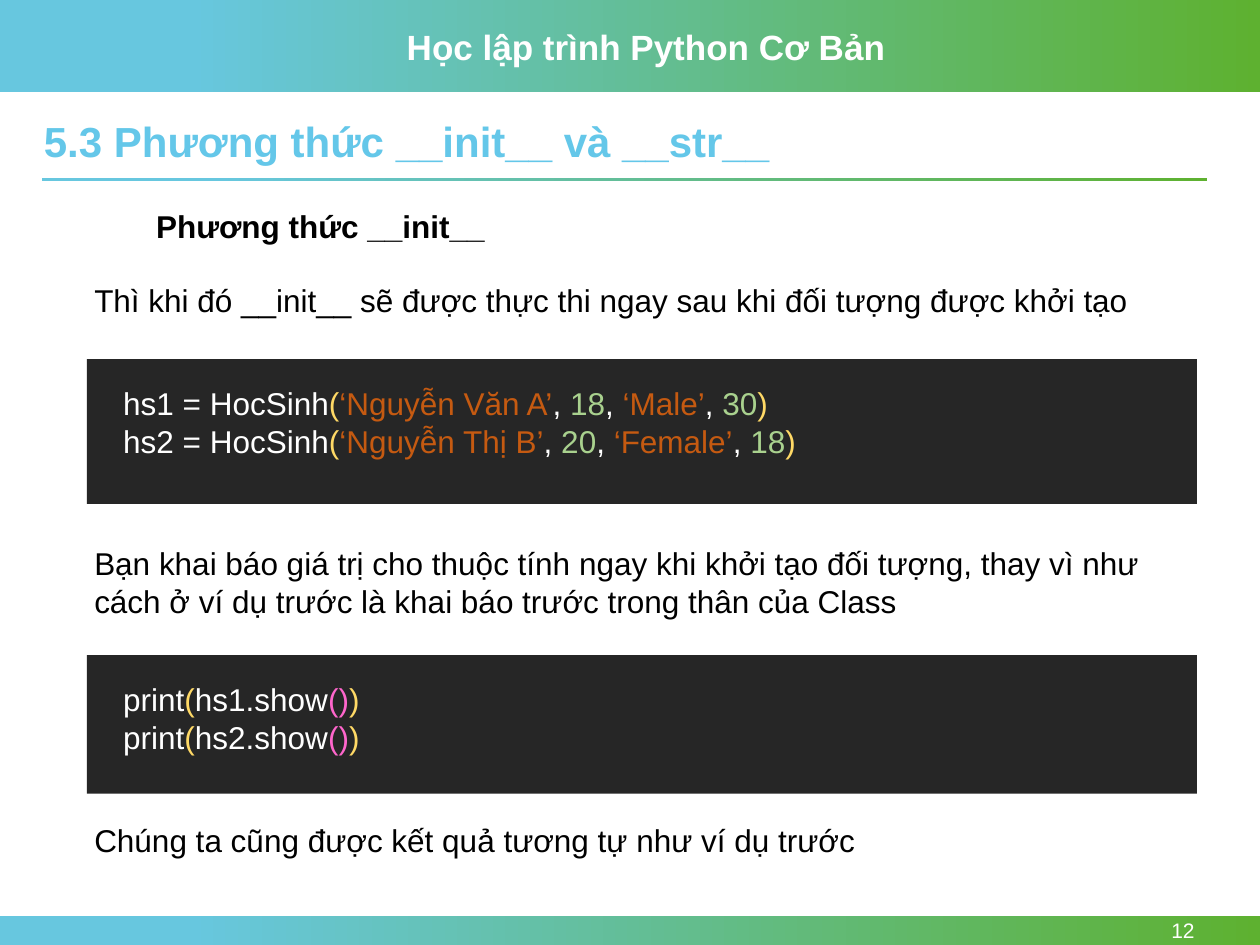
from pptx import Presentation
from pptx.dml.color import RGBColor
from pptx.enum.shapes import MSO_SHAPE
from pptx.enum.text import MSO_ANCHOR, MSO_AUTO_SIZE, PP_ALIGN
from pptx.util import Inches, Pt

COLORS = {
    "sky": "67C7DF",
    "green": "5EB130",
    "title": "64C7E9",
    "white": "FFFFFF",
    "black": "000000",
    "panel": "262626",
    "bracket": "FFD966",
    "string": "C55A11",
    "number": "A9D18E",
    "inner": "FF66CC",
}


def color(key):
    """Return the named colour."""
    return RGBColor.from_string(COLORS[key])


def add_bar(slide, left, top, width, height):
    """Add a borderless rectangle without shadow."""
    bar = slide.shapes.add_shape(
        MSO_SHAPE.RECTANGLE, Inches(left), Inches(top), Inches(width), Inches(height)
    )
    bar.shadow.inherit = False
    bar.line.fill.background()
    return bar


def add_gradient_bar(slide, left, top, width, height):
    """Add a bar that fades from sky blue to green."""
    fill = add_bar(slide, left, top, width, height).fill
    fill.gradient()
    fill.gradient_angle = 0
    stops = ((0.15, "sky"), (1, "green"))
    for stop, (position, key) in zip(fill.gradient_stops, stops):
        stop.position = position
        stop.color.rgb = color(key)


def add_frame(slide, left, top, width, height):
    """Add a wrapping text box and return its text frame."""
    frame = slide.shapes.add_textbox(
        Inches(left), Inches(top), Inches(width), Inches(height)
    ).text_frame
    frame.word_wrap = True
    frame.auto_size = MSO_AUTO_SIZE.SHAPE_TO_FIT_TEXT
    return frame


def style(paragraph, size=18, bold=False):
    """Set the shared font of a paragraph."""
    paragraph.font.name = "Arial"
    paragraph.font.size = Pt(size)
    paragraph.font.bold = bold


def add_text(slide, text, left, top, width, height, size=18, key="black", bold=False):
    """Add a one-paragraph text box and return its text frame."""
    frame = add_frame(slide, left, top, width, height)
    paragraph = frame.paragraphs[0]
    paragraph.text = text
    style(paragraph, size, bold)
    paragraph.font.color.rgb = color(key)
    return frame


def add_code(slide, lines, top, panel_height, text_height):
    """Add a dark panel with coloured lines of code."""
    panel = add_bar(slide, 0.69, top, 8.81, panel_height)
    panel.fill.solid()
    panel.fill.fore_color.rgb = color("panel")
    frame = add_frame(slide, 0.88, top + 0.15, 7.94, text_height)
    for index, tokens in enumerate(lines):
        paragraph = frame.add_paragraph() if index else frame.paragraphs[0]
        style(paragraph)
        for text, key in tokens:
            run = paragraph.add_run()
            run.text = text
            run.font.color.rgb = color(key)


def creation_line(variable, student, age, gender, score):
    """Return the coloured tokens that create one student."""
    comma = (", ", "white")
    return [
        (f"{variable} = HocSinh", "white"), ("(", "bracket"),
        (f"‘{student}’", "string"), comma, (age, "number"), comma,
        (f"‘{gender}’", "string"), comma, (score, "number"), (")", "bracket"),
    ]


def print_line(variable):
    """Return the coloured tokens that print one student."""
    return [
        ("print", "white"), ("(", "bracket"), (f"{variable}.show", "white"),
        ("()", "inner"), (")", "bracket"),
    ]


def add_explanation(slide, text, top, height=0.4):
    """Add a body text across the content width."""
    add_text(slide, text, 0.65, top, 8.84, height)


def main():
    """Build and save the slide."""
    deck = Presentation()
    deck.slide_width, deck.slide_height = Inches(10), Inches(7.5)
    slide = deck.slides.add_slide(deck.slide_layouts[6])

    add_gradient_bar(slide, 0, 0, 10, 0.73)
    add_gradient_bar(slide, 0, 7.27, 10, 0.23)
    add_gradient_bar(slide, 0.33, 1.41, 9.25, 0.03)
    add_text(slide, "Học lập trình Python Cơ Bản", 3.13, 0.15, 4, 0.44, 20, "white", True)

    page = add_text(slide, "12", 8.66, 7.27, 0.92, 0.23, 12, "white")
    page.auto_size = MSO_AUTO_SIZE.NONE
    page.vertical_anchor = MSO_ANCHOR.MIDDLE
    page.paragraphs[0].alignment = PP_ALIGN.RIGHT

    title = add_text(
        slide, "5.3 Phương thức __init__ và __str__", 0.25, 0.91, 9.25, 0.46, 24, "title", True
    )
    title.paragraphs[0].line_spacing = 0.9
    add_text(slide, "Phương thức __init__", 1.14, 1.59, 5.49, 0.4, bold=True)

    add_explanation(
        slide, "Thì khi đó __init__ sẽ được thực thi ngay sau khi đối tượng được khởi tạo", 2.18
    )
    students = [
        ("hs1", "Nguyễn Văn A", "18", "Male", "30"),
        ("hs2", "Nguyễn Thị B", "20", "Female", "18"),
    ]
    add_code(slide, [creation_line(*student) for student in students], 2.85, 1.15, 1.01)
    add_explanation(
        slide,
        "Bạn khai báo giá trị cho thuộc tính ngay khi khởi tạo đối tượng, thay vì như "
        "cách ở ví dụ trước là khai báo trước trong thân của Class",
        4.27,
        0.71,
    )
    add_code(slide, [print_line(student[0]) for student in students], 5.2, 1.1, 0.71)
    add_explanation(slide, "Chúng ta cũng được kết quả tương tự như ví dụ trước", 6.47)

    deck.save("out.pptx")


if __name__ == "__main__":
    main()
